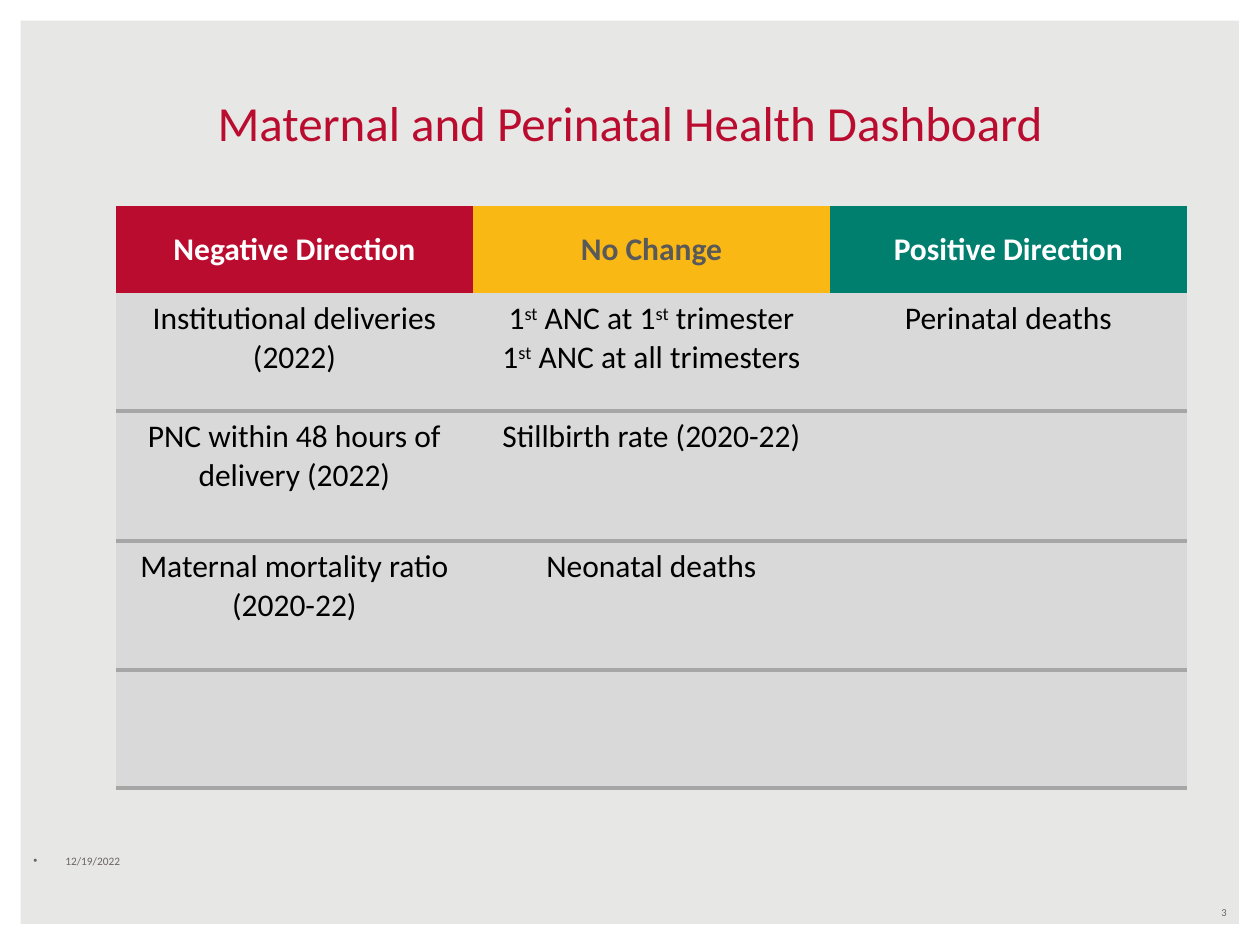
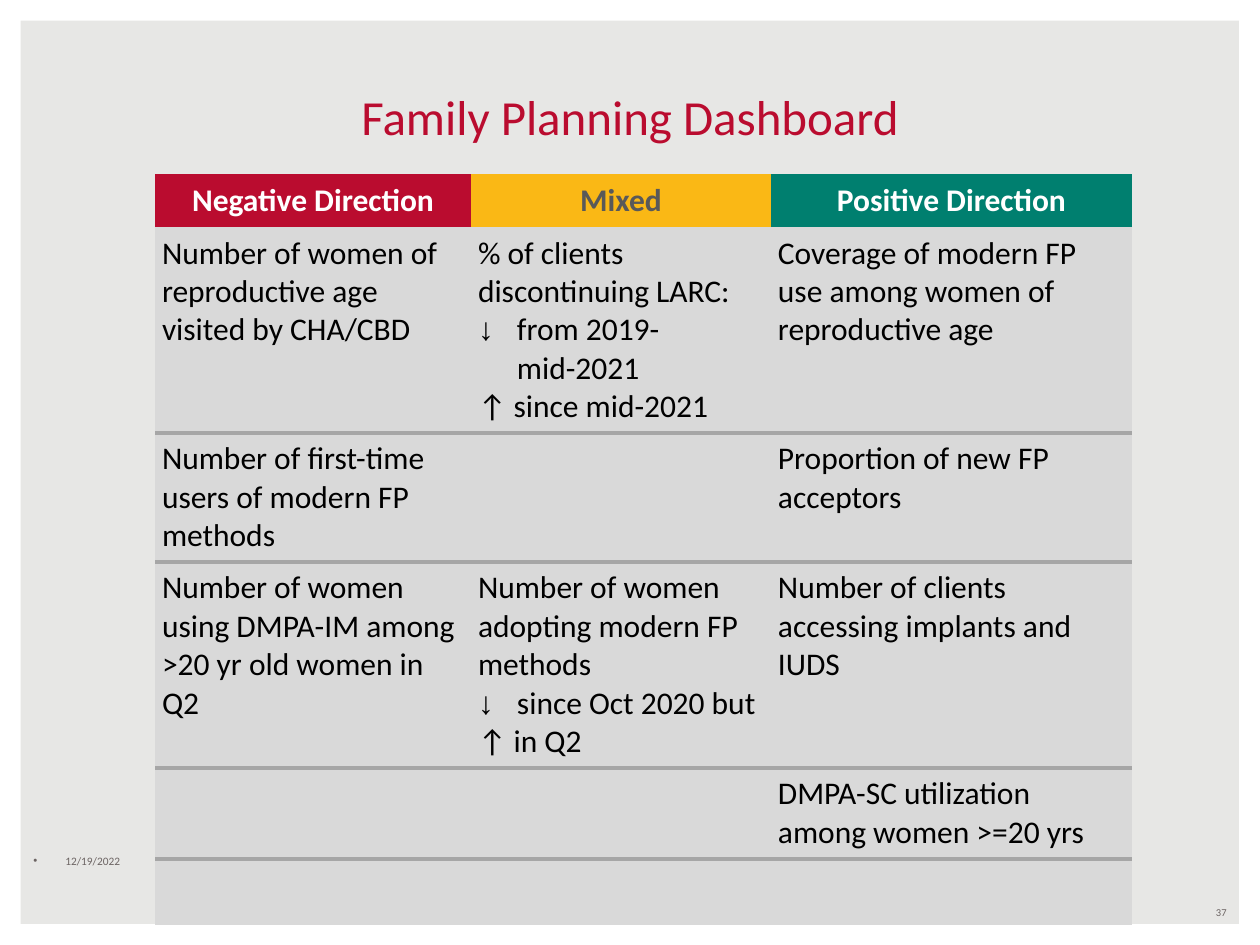
from dataclasses import dataclass

from lxml.etree import SubElement
from pptx import Presentation
from pptx.dml.color import RGBColor
from pptx.enum.shapes import MSO_SHAPE
from pptx.enum.text import MSO_ANCHOR, PP_ALIGN
from pptx.oxml.ns import qn
from pptx.util import Emu, Pt


@dataclass(frozen=True)
class Theme:
    font: str = "Calibri"
    background: str = "E7E7E5"
    white: str = "FFFFFF"
    black: str = "000000"
    red: str = "BA0C2F"
    yellow: str = "FAB815"
    green: str = "007F6F"
    dark_gray: str = "595959"
    footer: str = "6C6463"
    cell: str = "D9D9D9"
    rule: str = "A6A6A6"
    title_size: float = 28
    table_size: float = 18
    date_size: float = 6.5
    number_size: float = 6
    rule_width: float = 2.25


THEME = Theme()
DATE = "12/19/2022"
HEADER_COLORS = [
    (THEME.red, THEME.white),
    (THEME.yellow, THEME.dark_gray),
    (THEME.green, THEME.white),
]

DASHBOARDS = [
    {
        "title": "Maternal and Perinatal Health Dashboard",
        "number": "3",
        "title_top": 86,
        "table_at": (116, 206),
        "columns": [357, 357, 357],
        "rows": [87, 118, 130, 129, 118],
        "align": PP_ALIGN.CENTER,
        "closing_rule": True,
        "cells": [
            ["Negative Direction", "No Change", "Positive Direction"],
            [
                "Institutional deliveries (2022)",
                "1^st^ ANC at 1^st^ trimester\n1^st^ ANC at all trimesters",
                "Perinatal deaths",
            ],
            ["PNC within 48 hours of delivery (2022)", "Stillbirth rate (2020-22)", ""],
            ["Maternal mortality ratio (2020-22)", "Neonatal deaths", ""],
            ["", "", ""],
        ],
    },
    {
        "title": "Family Planning Dashboard",
        "number": "37",
        "title_top": 80,
        "table_at": (155, 174),
        "columns": [316, 300, 361],
        "rows": [53, 206, 129, 206, 91, 66],
        "align": PP_ALIGN.LEFT,
        "closing_rule": False,
        "cells": [
            ["Negative Direction", "Mixed", "Positive Direction"],
            [
                "Number of women of reproductive age visited by CHA/CBD",
                "% of clients discontinuing LARC:\n↓ from 2019-mid-2021\n↑ since mid-2021",
                "Coverage of modern FP use among women of reproductive age",
            ],
            [
                "Number of first-time users of modern FP methods",
                "",
                "Proportion of new FP acceptors",
            ],
            [
                "Number of women using DMPA-IM among >20 yr old women in Q2",
                "Number of women adopting modern FP methods\n↓ since Oct 2020 but\n↑ in Q2",
                "Number of clients accessing implants and IUDS",
            ],
            ["", "", "DMPA-SC utilization among women >=20 yrs"],
            ["", "", ""],
        ],
    },
]


def px(length):
    return Emu(round(length * 914400 / 126))


def color(value):
    return RGBColor.from_string(value)


def style_font(font, size, value, bold=False):
    font.name = THEME.font
    font.size = Pt(size)
    font.bold = bold
    font.color.rgb = color(value)


def add_bullet(paragraph, character, indent):
    properties = paragraph._p.get_or_add_pPr()
    properties.set("marL", str(px(indent)))
    properties.set("indent", str(-px(indent)))
    SubElement(properties, qn("a:buFont"), typeface="Arial")
    SubElement(properties, qn("a:buChar"), char=character)


def add_text(slide, box, text, size, value, align, anchor, bullet=None):
    shape = slide.shapes.add_textbox(*map(px, box))
    frame = shape.text_frame
    frame.word_wrap = True
    frame.vertical_anchor = anchor
    frame.text = text
    paragraph = frame.paragraphs[0]
    paragraph.alignment = align
    if bullet:
        add_bullet(paragraph, bullet, 32)
    style_font(paragraph.runs[0].font, size, value)


def draw_borders(cell, top, bottom):
    properties = cell._tc.get_or_add_tcPr()
    for tag, visible in (("lnL", False), ("lnR", False), ("lnT", top), ("lnB", bottom)):
        width = Pt(THEME.rule_width) if visible else 0
        line = SubElement(properties, qn(f"a:{tag}"), w=str(width))
        if visible:
            fill = SubElement(line, qn("a:solidFill"))
            SubElement(fill, qn("a:srgbClr"), val=THEME.rule)
        else:
            SubElement(line, qn("a:noFill"))


def write_cell(cell, text, align, value, bold):
    frame = cell.text_frame
    for index, line in enumerate(text.split("\n")):
        paragraph = frame.add_paragraph() if index else frame.paragraphs[0]
        paragraph.alignment = align
        if line.startswith("↓"):
            add_bullet(paragraph, "↓", 39)
            line = line[1:].strip()
        style_font(paragraph.font, THEME.table_size, value, bold)
        for part_index, part in enumerate(line.split("^")):
            if part:
                run = paragraph.add_run()
                run.text = part
                style_font(run.font, THEME.table_size, value, bold)
                if part_index % 2:
                    run._r.get_or_add_rPr().set("baseline", "30000")


def add_dashboard_table(slide, dashboard):
    columns, rows = dashboard["columns"], dashboard["rows"]
    left, top = dashboard["table_at"]
    table = slide.shapes.add_table(
        len(rows), len(columns), px(left), px(top), px(sum(columns)), px(sum(rows))
    ).table
    table.horz_banding = False
    for column, width in zip(table.columns, columns):
        column.width = px(width)
    for row, height in zip(table.rows, rows):
        row.height = px(height)
    last_row = len(rows) - 1
    for row_index, texts in enumerate(dashboard["cells"]):
        header = row_index == 0
        has_bottom = not header and (row_index < last_row or dashboard["closing_rule"])
        for column_index, text in enumerate(texts):
            cell = table.cell(row_index, column_index)
            draw_borders(cell, row_index > 1, has_bottom)
            fill, value = HEADER_COLORS[column_index] if header else (THEME.cell, THEME.black)
            cell.fill.solid()
            cell.fill.fore_color.rgb = color(fill)
            cell.vertical_anchor = MSO_ANCHOR.MIDDLE if header else MSO_ANCHOR.TOP
            cell.margin_left = cell.margin_right = px(7)
            cell.margin_top = cell.margin_bottom = px(7)
            align = PP_ALIGN.CENTER if header else dashboard["align"]
            write_cell(cell, text, align, value, header)


def add_frame(slide):
    frame = slide.shapes.add_shape(MSO_SHAPE.FRAME, 0, 0, px(1260), px(945))
    frame.adjustments[0] = 0.022
    frame.shadow.inherit = False
    frame.fill.solid()
    frame.fill.fore_color.rgb = color(THEME.white)
    frame.line.fill.background()


def add_dashboard(presentation, dashboard):
    slide = presentation.slides.add_slide(presentation.slide_layouts[6])
    slide.background.fill.solid()
    slide.background.fill.fore_color.rgb = color(THEME.background)
    add_frame(slide)
    add_text(slide, (945, 900, 294, 25), dashboard["number"], THEME.number_size,
             THEME.footer, PP_ALIGN.RIGHT, MSO_ANCHOR.MIDDLE)
    add_text(slide, (21, 848, 294, 25), DATE, THEME.date_size,
             THEME.footer, PP_ALIGN.LEFT, MSO_ANCHOR.TOP, "•")
    add_text(slide, (95, dashboard["title_top"], 1070, 72), dashboard["title"],
             THEME.title_size, THEME.red, PP_ALIGN.CENTER, MSO_ANCHOR.BOTTOM)
    add_dashboard_table(slide, dashboard)


def main():
    presentation = Presentation()
    presentation.slide_width = px(1260)
    presentation.slide_height = px(945)
    for dashboard in DASHBOARDS:
        add_dashboard(presentation, dashboard)
    presentation.save("out.pptx")


if __name__ == "__main__":
    main()
